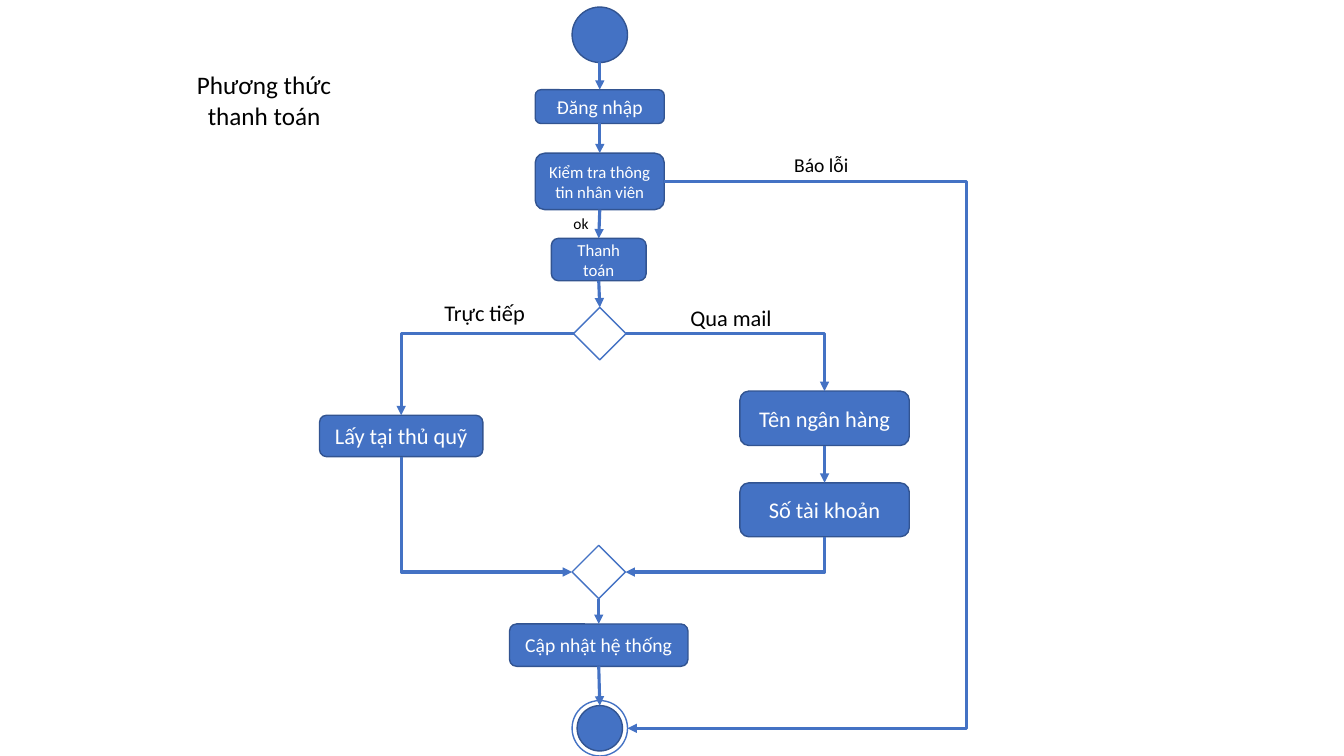
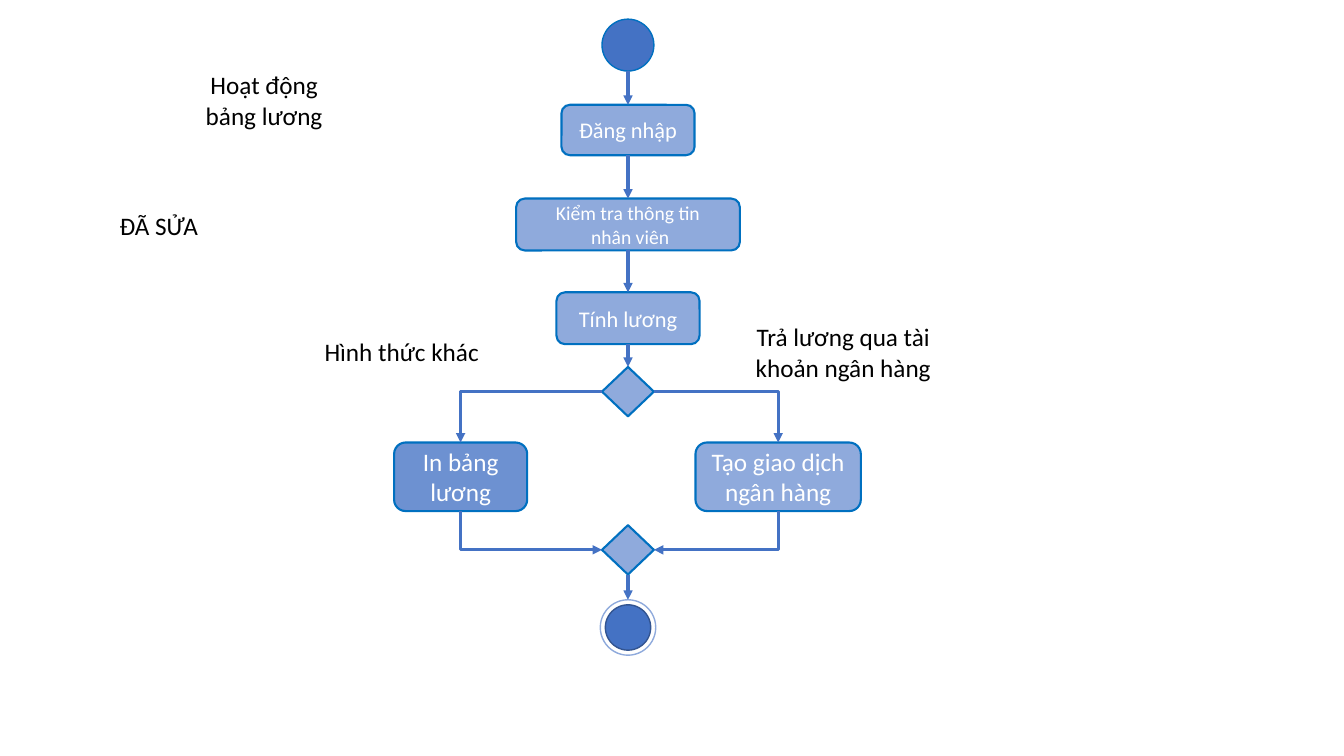
"""Two payroll activity diagrams drawn on a grid of tenth-inch cells."""
from pptx import Presentation
from pptx.dml.color import RGBColor
from pptx.enum.shapes import MSO_CONNECTOR, MSO_SHAPE
from pptx.enum.text import MSO_ANCHOR, MSO_AUTO_SIZE, PP_ALIGN
from pptx.oxml.ns import qn
from pptx.util import Inches, Pt
from lxml.etree import SubElement

CELL = Inches(0.1)
FONT = "Calibri"
COLORS = {
    "blue": "4472C4",
    "navy": "325491",
    "azure": "0070C0",
    "light": "8FAADC",
    "medium": "6D91D1",
    "white": "FFFFFF",
    "black": "000000",
}
LOOKS = {
    "solid": ("blue", "navy", 1),
    "hollow": ("white", "blue", 1),
    "start": ("blue", "azure", 1),
    "soft": ("light", "azure", 1.5),
    "accent": ("medium", "azure", 1.5),
    "ring": (None, "blue", 1),
    "soft ring": (None, "light", 1),
}


def rgb(name):
    return RGBColor.from_string(COLORS[name])


def cells(*lengths):
    return [round(n * CELL) for n in lengths]


def top(sp):
    return sp.left + sp.width // 2, sp.top


def bottom(sp):
    return sp.left + sp.width // 2, sp.top + sp.height


def left(sp):
    return sp.left, sp.top + sp.height // 2


def right(sp):
    return sp.left + sp.width, sp.top + sp.height // 2


class Diagram:
    """Holds the presentation, its style and the current slide."""

    def __init__(self):
        self.prs = Presentation()
        self.prs.slide_width, self.prs.slide_height = cells(133.33, 75)

    def new_slide(self):
        self.s = self.prs.slides.add_slide(self.prs.slide_layouts[6])

    def set_text(self, sp, text, size, color, align, anchor):
        tf = sp.text_frame
        tf.word_wrap = True
        tf.vertical_anchor = anchor
        tf.text = text
        for p in tf.paragraphs:
            p.alignment = align
            for r in p.runs:
                r.font.name = FONT
                r.font.size = Pt(size)
                r.font.color.rgb = rgb(color)

    def shape(self, kind, cx, y, w, h, look):
        sp = self.s.shapes.add_shape(kind, *cells(cx - w / 2, y, w, h))
        sp.shadow.inherit = False
        fill, line, width = LOOKS[look]
        if fill:
            sp.fill.solid()
            sp.fill.fore_color.rgb = rgb(fill)
        else:
            sp.fill.background()
        sp.line.color.rgb = rgb(line)
        sp.line.width = Pt(width)
        return sp

    def step(self, text, cx, y, w, h, size=16, look="solid"):
        sp = self.shape(MSO_SHAPE.ROUNDED_RECTANGLE, cx, y, w, h, look)
        self.set_text(sp, text, size, "white", PP_ALIGN.CENTER, MSO_ANCHOR.MIDDLE)
        return sp

    def start(self, cx, y, size, look):
        return self.shape(MSO_SHAPE.OVAL, cx, y, size, size, look)

    def choice(self, cx, y, w, h, look):
        return self.shape(MSO_SHAPE.DIAMOND, cx, y, w, h, look)

    def finish(self, cx, y, look):
        dot = self.start(cx, y + 0.5, 4.5, "solid")
        return dot, self.start(cx, y, 5.5, look)

    def heading(self, text, x, y, w):
        sp = self.s.shapes.add_textbox(*cells(x, y, w, 4.8))
        self.set_text(sp, text, 18, "black", PP_ALIGN.CENTER, MSO_ANCHOR.MIDDLE)

    def label(self, text, x, y, w, h, size):
        sp = self.s.shapes.add_textbox(*cells(x, y, w, h))
        self.set_text(sp, text, size, "black", PP_ALIGN.LEFT, MSO_ANCHOR.TOP)
        sp.text_frame.auto_size = MSO_AUTO_SIZE.SHAPE_TO_FIT_TEXT

    def arrow(self, start, end, kind=MSO_CONNECTOR.STRAIGHT):
        c = self.s.shapes.add_connector(kind, *start, *end)
        c.line.color.rgb = rgb("blue")
        c.line.width = Pt(2.25)
        spPr = c._element.spPr
        SubElement(spPr.find(qn("a:ln")), qn("a:tailEnd"), type="triangle")
        SubElement(spPr, qn("a:effectLst"))
        return c, spPr.find(qn("a:xfrm")), spPr.find(qn("a:prstGeom"))

    def chain(self, *steps):
        for a, b in zip(steps, steps[1:]):
            self.arrow(bottom(a), top(b))

    def branch(self, start, end):
        geom = self.arrow(start, end, MSO_CONNECTOR.ELBOW)[2]
        geom.set("prst", "bentConnector2")

    def merge(self, start, end):
        c, xfrm, geom = self.arrow(start, end, MSO_CONNECTOR.ELBOW)
        geom.set("prst", "bentConnector2")
        rightward = end[0] > start[0]
        xfrm.set("rot", str(16200000 if rightward else 5400000))
        xfrm.set("flipH", "1" if rightward else "0")
        w, h = c.width, c.height
        c.left, c.top = c.left + (w - h) // 2, c.top + (h - w) // 2
        c.width, c.height = h, w

    def detour(self, start, end, x):
        geom = self.arrow(start, end, MSO_CONNECTOR.ELBOW)[2]
        share = (cells(x)[0] - start[0]) / (end[0] - start[0])
        SubElement(geom.find(qn("a:avLst")), qn("a:gd"), name="adj1",
                   fmla=f"val {round(share * 100000)}")

    def fork(self, split, join, left_steps, right_steps):
        for side, steps in ((left, left_steps), (right, right_steps)):
            self.branch(side(split), top(steps[0]))
            self.chain(*steps)
            self.merge(bottom(steps[-1]), side(join))


def payment_method(d):
    d.new_slide()
    spine, cash_x, bank_x = 59.5, 39.8, 81.8
    start = d.start(spine, 0.7, 5.5, "solid")
    login = d.step("Đăng nhập", spine, 8.9, 12.8, 3.35, 14)
    check = d.step("Kiểm tra thông tin nhân viên", spine, 15.2, 12.8, 5.6, 12)
    pay = d.step("Thanh toán", 59.4, 23.65, 9.4, 4.2, 12)
    split = d.choice(spine, 30.5, 5.2, 5.2, "hollow")
    cash = d.step("Lấy tại thủ quỹ", cash_x, 41.2, 16.2, 4.1)
    bank = d.step("Tên ngân hàng", bank_x, 38.8, 16.8, 5.4)
    account = d.step("Số tài khoản", bank_x, 47.9, 16.8, 5.35)
    join = d.choice(59.4, 54.1, 5.3, 5.3, "hollow")
    update = d.step("Cập nhật hệ thống", 59.4, 61.9, 17.7, 4.2, 14)
    dot, ring = d.finish(spine, 69.5, "ring")
    d.chain(start, login, check, pay, split)
    d.fork(split, join, [cash], [bank, account])
    d.chain(join, update, dot)
    d.detour(right(check), right(ring), 95.9)
    d.label("Trực tiếp", 43.1, 29.2, 16.4, 3.7, 16)
    d.label("Qua mail", 67.5, 29.7, 20.1, 3.7, 16)
    d.label("ok", 55.9, 20.7, 8.2, 2.9, 11)
    d.label("Báo lỗi", 77.8, 14.7, 17.8, 3.4, 14)
    d.heading("Phương thức thanh toán", 18.3, 7.5, 15.8)


def payroll(d):
    d.new_slide()
    spine = 62.3
    start = d.start(spine, 1.9, 5.15, "start")
    login = d.step("Đăng nhập", spine, 10.4, 13.2, 5, look="soft")
    check = d.step("Kiểm tra thông tin\n nhân viên", spine, 19.7, 22.2, 5.15, 14, "soft")
    compute = d.step("Tính lương", spine, 29, 14.2, 5.15, look="soft")
    split = d.choice(spine, 36.4, 5.15, 4.9, "soft")
    transfer = d.step("Tạo giao dịch ngân hàng", 77.2, 43.9, 16.4, 6.8, 18, "soft")
    slip = d.step("In bảng lương", 45.7, 43.9, 13.2, 6.8, 18, "accent")
    join = d.choice(spine, 52.1, 5.15, 4.9, "soft")
    dot, ring = d.finish(spine, 59.5, "soft ring")
    d.chain(start, login, check, compute, split)
    d.fork(split, join, [slip], [transfer])
    d.chain(join, ring)
    d.heading("Hoạt động bảng lương", 18.3, 7.5, 15.8)
    d.heading("Trả lương qua tài khoản ngân hàng", 71.9, 32.5, 23.5)
    d.heading("Hình thức khác", 28.1, 32.5, 23.5)
    d.heading("ĐÃ SỬA", 4, 20, 23.5)


d = Diagram()
payment_method(d)
payroll(d)
d.prs.save("out.pptx")
